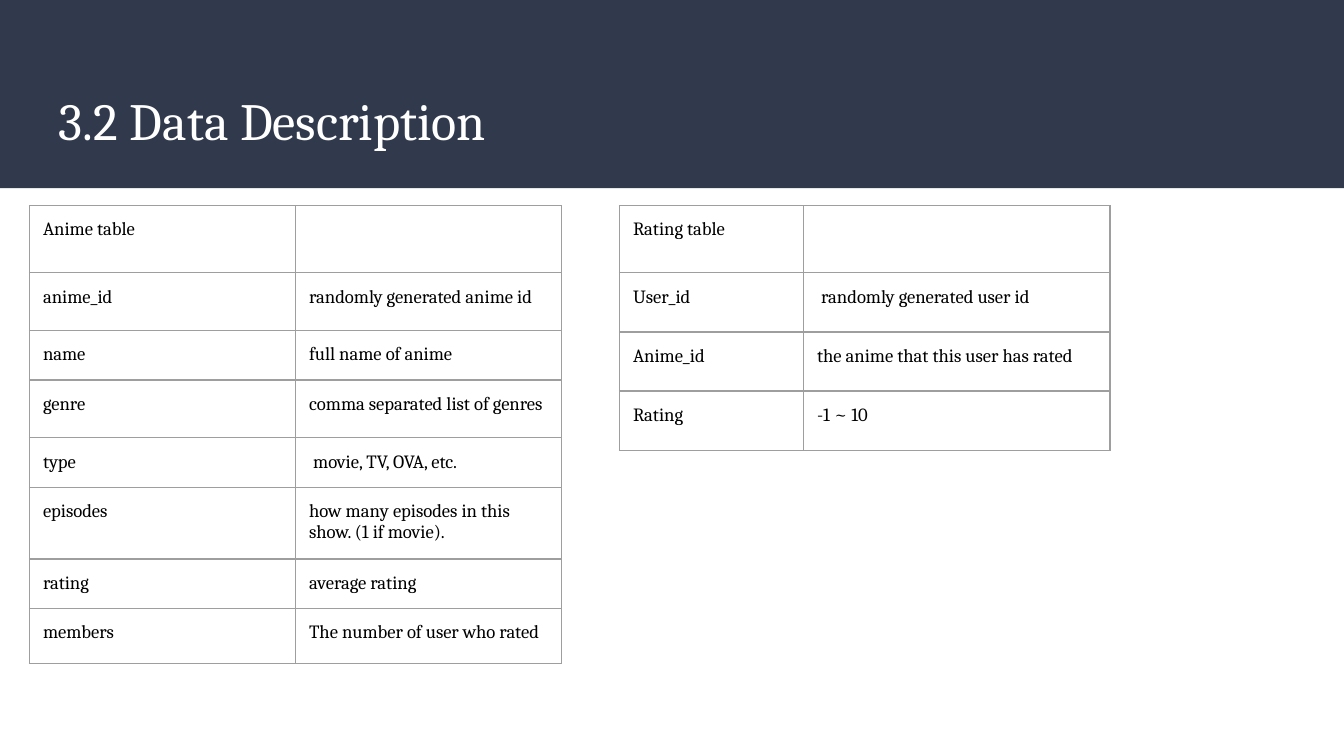
import lxml.etree
import pptx
import pptx.dml.color
import pptx.enum.shapes
import pptx.enum.text
import pptx.oxml.ns
import pptx.util

NAVY = pptx.dml.color.RGBColor(0x31, 0x39, 0x4D)
WHITE = pptx.dml.color.RGBColor(0xFF, 0xFF, 0xFF)
BLACK = pptx.dml.color.RGBColor(0x00, 0x00, 0x00)
GREY = pptx.dml.color.RGBColor(0x9E, 0x9E, 0x9E)
SLIDE_WIDTH = pptx.util.Inches(10)
SLIDE_HEIGHT = SLIDE_WIDTH * 9 // 16
GRID = SLIDE_WIDTH // 1000
INSET = pptx.util.Inches(0.1)
qn = pptx.oxml.ns.qn


def write(paragraph, wording, size, color):
    run = paragraph.add_run()
    run.text = wording
    for attribute, value in {"name": "Cambria", "size": pptx.util.Pt(size)}.items():
        setattr(run.font, attribute, value)
    run.font.color.rgb = color


def outline(cell):
    properties = cell._tc.get_or_add_tcPr()
    for side in ("a:lnL", "a:lnR", "a:lnT", "a:lnB"):
        border = lxml.etree.SubElement(properties, qn(side), w=str(pptx.util.Pt(0.75)))
        fill = lxml.etree.SubElement(border, qn("a:solidFill"))
        lxml.etree.SubElement(fill, qn("a:srgbClr"), val=str(GREY))
    cell.fill.background()


presentation = pptx.Presentation()
presentation.slide_width = SLIDE_WIDTH
presentation.slide_height = SLIDE_HEIGHT
slide = presentation.slides.add_slide(presentation.slide_layouts[6])

header_band = slide.shapes.add_shape(
    pptx.enum.shapes.MSO_SHAPE.RECTANGLE, 0, 0, SLIDE_WIDTH, 140 * GRID
)
header_band.shadow.inherit = False
header_band.fill.solid()
header_band.fill.fore_color.rgb = NAVY
header_band.line.fill.background()

margins = {
    "margin_left": INSET,
    "margin_right": INSET,
    "margin_top": INSET,
    "margin_bottom": INSET,
}
heading = slide.shapes.add_textbox(34 * GRID, 55 * GRID, 932 * GRID, 68 * GRID).text_frame
heading_format = {
    **margins,
    "word_wrap": True,
    "vertical_anchor": pptx.enum.text.MSO_ANCHOR.MIDDLE,
}
for attribute, value in heading_format.items():
    setattr(heading, attribute, value)
write(heading.paragraphs[0], "3.2 Data Description", 28, WHITE)

anime_fields = [
    ("Anime table", "", 33),
    ("anime_id", "randomly generated anime id", 43),
    ("name", "full name of anime", 33),
    ("genre", "comma separated list of genres", 43),
    ("type", " movie, TV, OVA, etc.", 33),
    ("episodes", "how many episodes in this show. (1 if movie).", 43),
    ("rating", "average rating", 33),
    ("members", "The number of user who rated", 41),
]
rating_fields = [
    ("Rating table", "", 44),
    ("User_id", " randomly generated user id", 44),
    ("Anime_id", "the anime that this user has rated", 44),
    ("Rating", "-1 ~ 10", 44),
]
cell_format = {**margins, "vertical_anchor": pptx.enum.text.MSO_ANCHOR.TOP}

for left, widths, fields in (
    (22, (198, 198), anime_fields),
    (461, (137, 228), rating_fields),
):
    frame = slide.shapes.add_table(
        len(fields), 2, left * GRID, 153 * GRID, 328 * GRID, 328 * GRID
    )
    dictionary = frame.table
    for attribute in ("first_row", "horz_banding"):
        setattr(dictionary, attribute, False)
    for column, width in zip(dictionary.columns, widths):
        column.width = width * GRID
    for row, (field, meaning, height) in zip(dictionary.rows, fields):
        row.height = height * GRID
        for cell, wording in zip(row.cells, (field, meaning)):
            for attribute, value in cell_format.items():
                setattr(cell, attribute, value)
            outline(cell)
            if wording:
                write(cell.text_frame.paragraphs[0], wording, 10, BLACK)
    for attribute in ("width", "height"):
        setattr(frame, attribute, 328 * GRID)

presentation.save("out.pptx")
